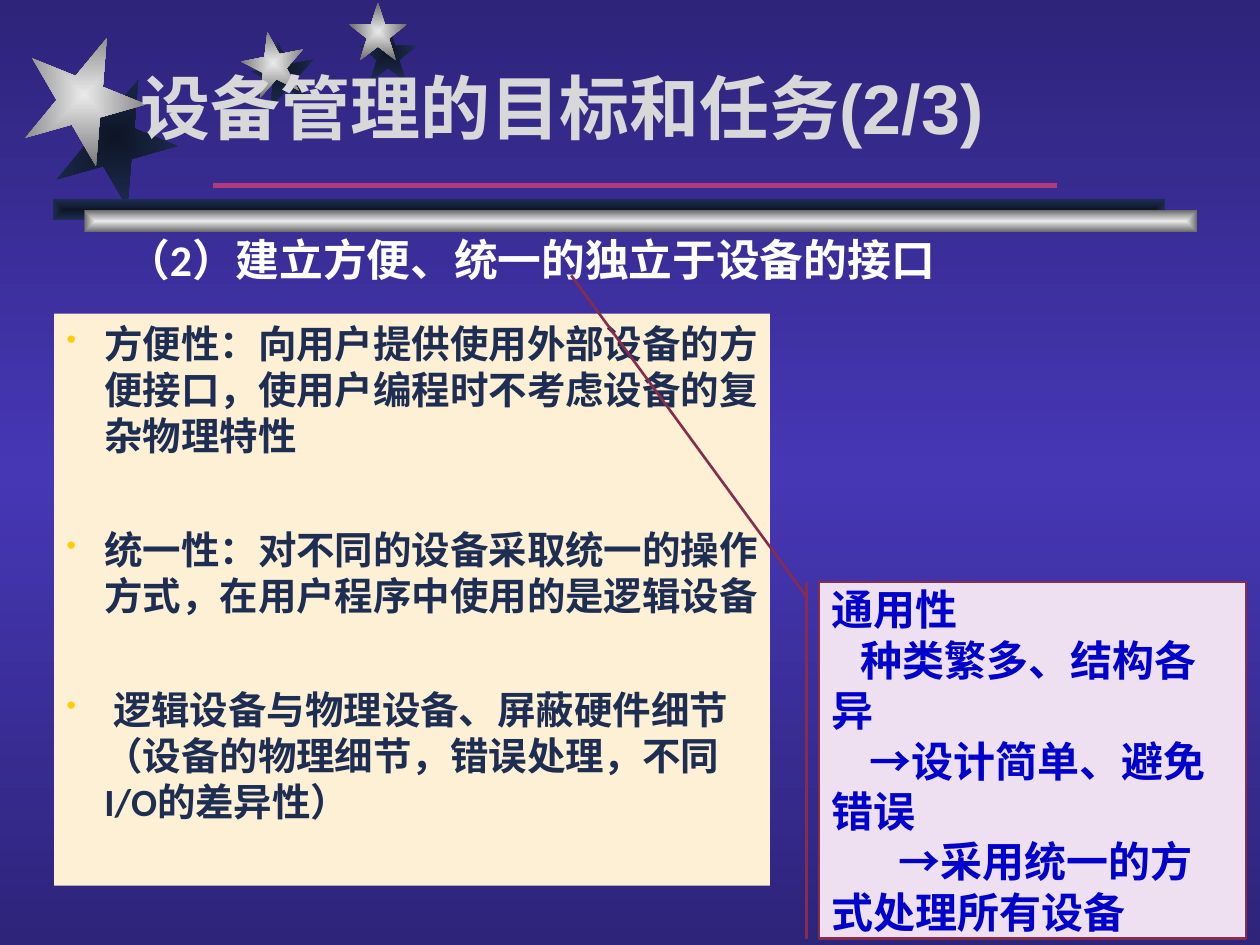
from dataclasses import dataclass

from lxml.etree import SubElement
from pptx import Presentation
from pptx.dml.color import RGBColor
from pptx.enum.shapes import MSO_CONNECTOR, MSO_SHAPE
from pptx.enum.text import MSO_ANCHOR, PP_ALIGN
from pptx.oxml.ns import qn
from pptx.util import Inches, Pt

STEEL = ("EAEAEA", "6C6C6C")
SHADE = ("0E1526", "1E2E53")
STAR = [(0, 0.38), (0.38, 0.38), (0.5, 0), (0.62, 0.38), (1, 0.38),
        (0.69, 0.62), (0.81, 1), (0.5, 0.76), (0.19, 1), (0.31, 0.62)]


@dataclass
class Star:
    left: float
    top: float
    size: float
    turn: float
    colours: tuple


@dataclass
class Bar:
    left: float
    top: float
    colours: tuple


@dataclass
class Style:
    font: str
    size: float
    colour: str


@dataclass
class Line:
    text: str
    margin: float = 0
    indent: float = 0
    before: float = 0
    bullet: bool = False


STARS = [
    Star(0.43, 0.6, 0.97, 22, SHADE), Star(2, 0.33, 0.5, 349, SHADE),
    Star(2.85, 0.19, 0.46, 0, SHADE), Star(1.92, 0.25, 0.5, 349, STEEL),
    Star(2.77, 0.02, 0.46, 0, STEEL), Star(0.18, 0.27, 0.97, 22, STEEL),
]
BARS = [Bar(0.42, 1.58, SHADE), Bar(0.67, 1.67, STEEL)]
GOALS = [
    Line("方便性：向用户提供使用外部设备的方便接口，使用户编程时不考虑设备的复杂物理特性",
         0.3, -0.3, 0, True),
    Line("统一性：对不同的设备采取统一的操作方式，在用户程序中使用的是逻辑设备",
         0.3, -0.3, 38.5, True),
    Line(" 逻辑设备与物理设备、屏蔽硬件细节（设备的物理细节，错误处理，不同I/O的差异性）",
         0.3, -0.3, 38.5, True),
]
GENERALITY = [
    Line("通用性"),
    Line("种类繁多、结构各异", indent=0.23),
    Line("→设计简单、避免错误", indent=0.3),
    Line("→采用统一的方式处理所有设备", indent=0.53),
]


def rgb(colour: str) -> RGBColor:
    """Turn a hex string into a colour."""
    return RGBColor.from_string(colour)


def set_gradient(fill, element, colours: tuple, linear: bool = False) -> None:
    """Fill with evenly spaced stops, running downwards or out from the centre."""
    fill.gradient()
    gradient = next(element.iter(qn("a:gradFill")))
    for child in list(gradient):
        gradient.remove(child)
    stops = SubElement(gradient, qn("a:gsLst"))
    for index, colour in enumerate(colours):
        position = 100000 * index // (len(colours) - 1)
        stop = SubElement(stops, qn("a:gs"), pos=str(position))
        SubElement(stop, qn("a:srgbClr"), val=colour)
    if linear:
        SubElement(gradient, qn("a:lin"), ang="5400000", scaled="0")
    else:
        way = SubElement(gradient, qn("a:path"), path="rect")
        SubElement(way, qn("a:fillToRect"), l="50000", t="50000", r="50000", b="50000")


def draw_star(page, star: Star) -> None:
    """Draw a five-pointed star with a gradient."""
    points = [(Inches(star.left + x * star.size), Inches(star.top + y * star.size))
              for x, y in STAR]
    builder = page.shapes.build_freeform(*points[0])
    builder.add_line_segments(points[1:], close=True)
    shape = builder.convert_to_shape()
    shape.rotation = star.turn
    shape.shadow.inherit = False
    shape.line.fill.background()
    set_gradient(shape.fill, shape._element, star.colours)


def add_plain_shape(page, kind, left: float, top: float, width: float, height: float):
    """Add a preset shape without shadow or line."""
    shape = page.shapes.add_shape(kind, Inches(left), Inches(top),
                                  Inches(width), Inches(height))
    shape.shadow.inherit = False
    shape.line.fill.background()
    return shape


def draw_bar(page, bar: Bar) -> None:
    """Draw one of the header bars."""
    shape = add_plain_shape(page, MSO_SHAPE.RECTANGLE, bar.left, bar.top, 8.83, 0.17)
    set_gradient(shape.fill, shape._element, bar.colours)


def write(shape, lines: list[Line], style: Style, align, anchor) -> None:
    """Write the lines into a shape in one style."""
    frame = shape.text_frame
    frame.word_wrap = True
    frame.vertical_anchor = anchor
    for index, line in enumerate(lines):
        para = frame.add_paragraph() if index else frame.paragraphs[0]
        para.text = line.text
        para.alignment = align
        properties = para._p.get_or_add_pPr()
        properties.set("marL", str(Inches(line.margin)))
        properties.set("indent", str(Inches(line.indent)))
        if line.bullet:
            colour = SubElement(properties, qn("a:buClr"))
            SubElement(colour, qn("a:srgbClr"), val="FFCC00")
            SubElement(properties, qn("a:buSzPct"), val="73000")
            SubElement(properties, qn("a:buChar"), char="•")
        if line.before:
            para.space_before = Pt(line.before)
        para.font.name = style.font
        para.font.size = Pt(style.size)
        para.font.bold = True
        para.font.color.rgb = rgb(style.colour)


def main() -> None:
    """Build the slide."""
    deck = Presentation()
    deck.slide_width, deck.slide_height = Inches(10), Inches(7.5)
    page = deck.slides.add_slide(deck.slide_layouts[6])
    set_gradient(page.background.fill, page._element,
                 ("2E247A", "4637B5", "2E247A"), linear=True)
    for star in STARS:
        draw_star(page, star)
    for bar in BARS:
        draw_bar(page, bar)

    rule = page.shapes.add_connector(MSO_CONNECTOR.STRAIGHT, Inches(1.69), Inches(1.47),
                                     Inches(8.39), Inches(1.47))
    rule.line.color.rgb = rgb("B23A7D")
    rule.line.width = Pt(3)
    SubElement(rule._element.spPr, qn("a:effectLst"))

    title = page.shapes.add_textbox(Inches(0.5), Inches(0.35), Inches(7.92), Inches(0.88))
    write(title, [Line("设备管理的目标和任务(2/3)")], Style("Arial", 40, "D8D8D8"),
          PP_ALIGN.CENTER, MSO_ANCHOR.BOTTOM)
    heading = page.shapes.add_textbox(Inches(0.51), Inches(1.7), Inches(7.4), Inches(0.71))
    write(heading, [Line("（2）建立方便、统一的独立于设备的接口")],
          Style("Calibri", 25, "FFFFFF"), PP_ALIGN.CENTER, MSO_ANCHOR.MIDDLE)

    goals = add_plain_shape(page, MSO_SHAPE.RECTANGLE, 0.43, 2.49, 5.68, 4.54)
    goals.fill.solid()
    goals.fill.fore_color.rgb = rgb("FEF0D5")
    goals.text_frame.margin_right = Inches(0.06)
    write(goals, GOALS, Style("Calibri", 22, "1E2E53"), PP_ALIGN.LEFT, MSO_ANCHOR.TOP)

    callout = add_plain_shape(page, MSO_SHAPE.LINE_CALLOUT_1_BORDER_AND_ACCENT_BAR,
                              6.5, 4.62, 3.39, 2.83)
    for index, ratio in enumerate((0.04, -0.03, -0.86, -0.58)):
        callout.adjustments[index] = ratio
    callout.fill.solid()
    callout.fill.fore_color.rgb = rgb("EEDFF1")
    callout.line.color.rgb = rgb("862C4C")
    callout.line.width = Pt(1.5)
    write(callout, GENERALITY, Style("Calibri", 24, "0000CC"),
          PP_ALIGN.LEFT, MSO_ANCHOR.MIDDLE)
    deck.save("out.pptx")


if __name__ == "__main__":
    main()
